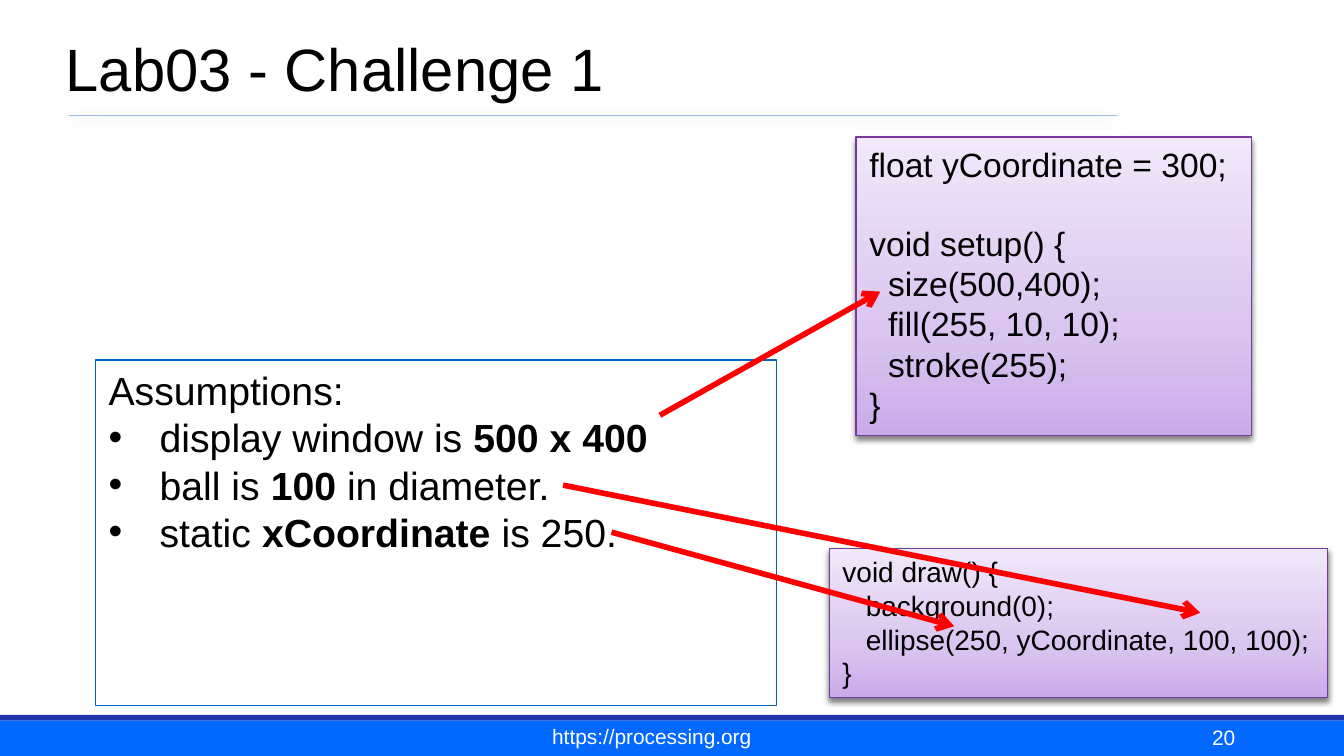
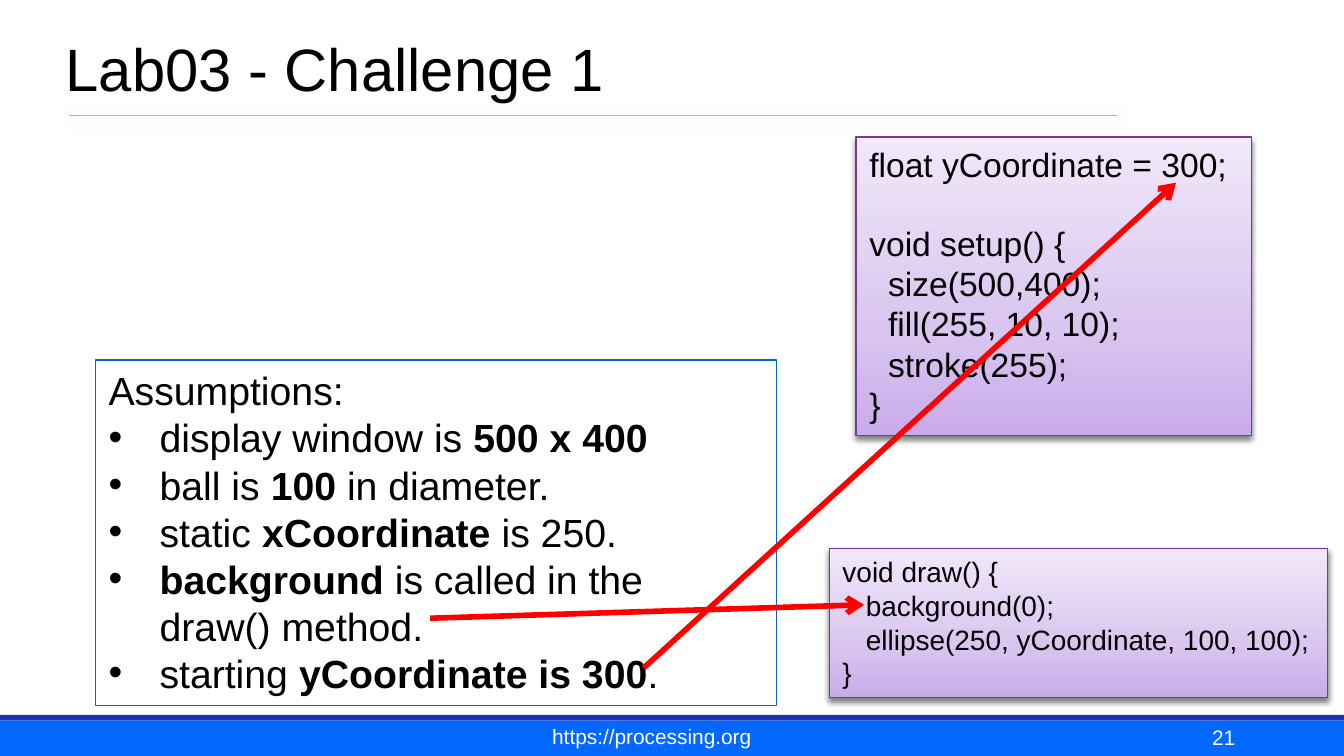
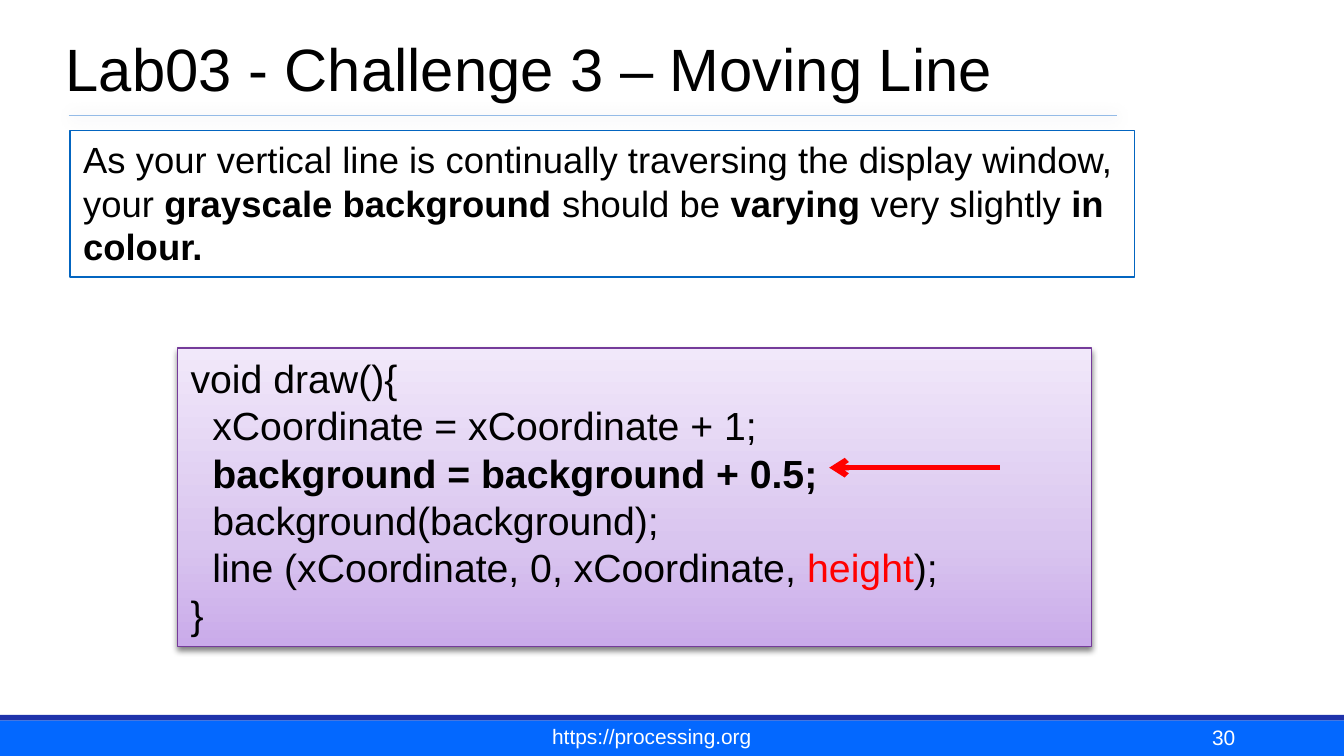
from collections import namedtuple

from lxml import etree
from pptx import Presentation
from pptx.dml.color import RGBColor
from pptx.enum.shapes import MSO_CONNECTOR, MSO_SHAPE
from pptx.enum.text import MSO_ANCHOR, PP_ALIGN
from pptx.oxml.ns import qn
from pptx.util import Inches, Pt

RECTANGLE = MSO_SHAPE.RECTANGLE
STRAIGHT = MSO_CONNECTOR.STRAIGHT
TOP, BOTTOM = MSO_ANCHOR.TOP, MSO_ANCHOR.BOTTOM
LEFT, CENTER, RIGHT = PP_ALIGN.LEFT, PP_ALIGN.CENTER, PP_ALIGN.RIGHT

WIDTH = Inches(10)
HEIGHT = WIDTH * 9 // 16
COLUMNS = 100
CELL = WIDTH // COLUMNS
ROWS = HEIGHT / CELL

FONT = "Arial"
COLORS = {
    "text": "000000", "light": "FFFFFF", "band": "0368FF", "stripe": "1F33AB",
    "rule": "94BBE7", "rule_shadow": "003D62", "outline": "0365C0",
    "code_line": "753B9A", "code_shadow": "000000", "accent": "FF0000",
}
CODE_GRADIENT = ((0, "CAABEA"), (35, "D9C5EF"), (100, "F1E8FA"))
LINE_SPACING = 1.15

Box = namedtuple("Box", "left top width height")
Shadow = namedtuple("Shadow", "color opacity blur distance angle")
RULE_SHADOW = Shadow("rule_shadow", 20, 8, 1, 45)
CODE_SHADOW = Shadow("code_shadow", 50, 3, 2, 90)

TITLE = Box(4.3, 0, 85, 8.3)
FOOTER = Box(0, 53.2, COLUMNS, ROWS - 53.2)
ASSUMPTIONS = Box(7.1, 26.8, 50.7, 25.7)
SETUP = Box(63.7, 10.2, 29.4, 22.2)
DRAW = Box(61.7, 40.8, 37.1, 11.1)
TASK = Box(5.2, 9.7, 79.2, 10.9)
MOVING_LINE = Box(13.2, 25.9, 68, 22.2)

SETUP_CODE = [
    ["float yCoordinate = 300;"],
    ["void setup() {", "size(500,400);", "fill(255, 10, 10);", "stroke(255);", "}"],
]
DRAW_CODE = [
    ["void draw() {", "background(0);", "ellipse(250, yCoordinate, 100, 100);", "}"],
]
MOVING_LINE_CODE = [[
    "void draw(){",
    "xCoordinate = xCoordinate + 1;",
    [("background = background + 0.5;", "bold")],
    "background(background);",
    ["line (xCoordinate, 0, xCoordinate, ", ("height", "accent"), ");"],
    "}",
]]
TASK_TEXT = [
    "As your vertical line is continually traversing the display window, your ",
    ("grayscale background ", "bold"), "should be ", ("varying ", "bold"),
    "very slightly ", ("in colour.", "bold"),
]
ASSUMED = [
    ["display window is ", ("500 x 400", "bold")],
    ["ball is ", ("100", "bold"), " in diameter."],
    ["static ", ("xCoordinate", "bold"), " is 250."],
    [("background", "bold"), " is called in the draw() method."],
    ["starting ", ("yCoordinate is 300", "bold"), "."],
]


def cells(*counts):
    """Convert grid cells to lengths."""
    return [round(count * CELL) for count in counts]


def within(box, column, row):
    """Return the grid point at an offset inside a box."""
    return box.left + column, box.top + row


def inner(box, column, row, width, height):
    """Return a box placed at an offset inside another."""
    return Box(*within(box, column, row), width, height)


def rgb(name):
    """Look up a named colour."""
    return RGBColor.from_string(COLORS[name])


def add_xml(parent, tag, **attributes):
    """Append a drawing element with its attributes."""
    values = {key: str(value) for key, value in attributes.items()}
    return etree.SubElement(parent, qn(f"a:{tag}"), values)


def set_shadow(target, shadow=None):
    """Replace the theme shadow by the given one or by none."""
    effects = add_xml(target.element.spPr, "effectLst")
    if shadow:
        outer = add_xml(effects, "outerShdw", blurRad=Pt(shadow.blur),
                        dist=Pt(shadow.distance), dir=shadow.angle * 60000,
                        algn="ctr", rotWithShape=0)
        color = add_xml(outer, "srgbClr", val=COLORS[shadow.color])
        add_xml(color, "alpha", val=shadow.opacity * 1000)


def set_gradient(panel):
    """Fill a panel with the code gradient, rising from its bottom."""
    gradient = add_xml(panel.element.spPr, "gradFill", rotWithShape=1)
    stops = add_xml(gradient, "gsLst")
    for position, color in CODE_GRADIENT:
        add_xml(add_xml(stops, "gs", pos=position * 1000), "srgbClr", val=color)
    add_xml(gradient, "lin", ang=270 * 60000, scaled=0)


def write(paragraph, content, size, color="text", align=LEFT):
    """Write a string or a list of plain and styled pieces."""
    paragraph.alignment = align
    for piece in [content] if isinstance(content, str) else content:
        text, style = (piece, None) if isinstance(piece, str) else piece
        run = paragraph.add_run()
        run.text = text
        run.font.name = FONT
        run.font.size = Pt(size)
        run.font.bold = style == "bold"
        run.font.color.rgb = rgb("accent" if style == "accent" else color)


def paragraphs(frame, count):
    """Return the given number of paragraphs of an empty frame."""
    return [frame.paragraphs[0]] + [frame.add_paragraph() for _ in range(count - 1)]


def prepare_frame(frame, anchor=TOP, side=1, edge=0.5):
    """Set wrapping, anchor and insets, and return the frame."""
    frame.word_wrap = True
    frame.vertical_anchor = anchor
    frame.margin_left = frame.margin_right = round(side * CELL)
    frame.margin_top = frame.margin_bottom = round(edge * CELL)
    return frame


def add_label(slide, box, text, size, color, align, side=0.6, edge=0.6):
    """Add one line of text standing on the bottom of its box."""
    label = slide.shapes.add_textbox(*cells(*box))
    frame = prepare_frame(label.text_frame, BOTTOM, side, edge)
    write(frame.paragraphs[0], text, size, color, align)


def add_line(slide, start, end, color, weight, shadow=None):
    """Add a straight line between two grid points."""
    line = slide.shapes.add_connector(STRAIGHT, *cells(*start, *end))
    line.line.color.rgb = rgb(color)
    line.line.width = Pt(weight)
    set_shadow(line, shadow)
    return line


def add_arrow(slide, start, end):
    """Add a red arrow pointing from an idea to its code."""
    arrow = add_line(slide, start, end, "accent", 3)
    add_xml(arrow.element.spPr.find(qn("a:ln")), "tailEnd", type="arrow")


def add_band(slide, box, color):
    """Add a plain filled band."""
    band = slide.shapes.add_shape(RECTANGLE, *cells(*box))
    band.fill.solid()
    band.fill.fore_color.rgb = rgb(color)
    band.line.fill.background()
    set_shadow(band)


def add_title(slide, box, text):
    """Add the slide title and the rule below it."""
    add_line(slide, within(box, 0.8, 8.6), within(box, 78.8, 8.6),
             "rule", 1, RULE_SHADOW)
    add_label(slide, box, text, 32, "text", LEFT)


def add_footer(slide, box, number):
    """Add the bands, the web address and the slide number."""
    add_band(slide, inner(box, 0, 0.4, box.width, box.height - 0.4), "band")
    add_band(slide, inner(box, 0, 0, box.width, 0.4), "stripe")
    add_label(slide, inner(box, 35.2, 0.3, 26.6, 2.6), "https://processing.org",
              11.2, "light", CENTER, 0.8, 0.4)
    add_label(slide, inner(box, 71.7, 0.1, 20.8, 3.1), str(number),
              11.2, "light", RIGHT)


def add_code(slide, box, blocks, size, indent):
    """Add a code panel whose block bodies are indented."""
    panel = slide.shapes.add_shape(RECTANGLE, *cells(*box))
    set_gradient(panel)
    panel.line.color.rgb = rgb("code_line")
    panel.line.width = Pt(0.75)
    set_shadow(panel, CODE_SHADOW)
    frame = prepare_frame(panel.text_frame)
    rows = iter(paragraphs(frame, sum(map(len, blocks))))
    for block_index, block in enumerate(blocks):
        for line_index, code in enumerate(block):
            row = next(rows)
            write(row, code, size)
            if 0 < line_index < len(block) - 1:
                row._p.get_or_add_pPr().set("marL", str(*cells(indent)))
            if block_index and not line_index:
                row.space_before = Pt(size * LINE_SPACING)


def add_outlined(slide, box):
    """Add an unfilled outlined box and return its text frame."""
    outlined = slide.shapes.add_shape(RECTANGLE, *cells(*box))
    outlined.fill.background()
    outlined.line.color.rgb = rgb("outline")
    outlined.line.width = Pt(0.75)
    set_shadow(outlined)
    return prepare_frame(outlined.text_frame)


def add_assumptions(slide, box, assumed):
    """Add the box that lists the assumptions as bullets."""
    heading, *bullets = paragraphs(add_outlined(slide, box), len(assumed) + 1)
    write(heading, "Assumptions:", 21)
    hanging, = cells(3.8)
    for bullet, content in zip(bullets, assumed):
        write(bullet, content, 21)
        properties = bullet._p.get_or_add_pPr()
        properties.set("marL", str(hanging))
        properties.set("indent", str(-hanging))
        add_xml(properties, "buFont", typeface=FONT)
        add_xml(properties, "buChar", char="•")


def start_slide(deck, title, number):
    """Add a blank slide with its title and footer."""
    slide = deck.slides.add_slide(deck.slide_layouts[6])
    add_footer(slide, FOOTER, number)
    add_title(slide, TITLE, title)
    return slide


def build_assumptions_slide(deck, number, assumed, links):
    """Build a slide that links assumptions to lines of code."""
    slide = start_slide(deck, "Lab03 - Challenge 1", number)
    add_code(slide, SETUP, SETUP_CODE, 18, 1.4)
    add_code(slide, DRAW, DRAW_CODE, 15, 1.74)
    add_assumptions(slide, ASSUMPTIONS, assumed)
    for origin, code_box, target in links:
        add_arrow(slide, within(ASSUMPTIONS, *origin), within(code_box, *target))


def build_moving_line_slide(deck, number):
    """Build the slide on the varying background."""
    slide = start_slide(deck, "Lab03 - Challenge 3 – Moving Line", number)
    add_code(slide, MOVING_LINE, MOVING_LINE_CODE, 21, 1.62)
    write(add_outlined(slide, TASK).paragraphs[0], TASK_TEXT, 19.5)
    add_arrow(slide, within(MOVING_LINE, 61.2, 8.9), within(MOVING_LINE, 48.5, 8.9))


def main():
    """Build and save the deck."""
    deck = Presentation()
    deck.slide_width, deck.slide_height = WIDTH, HEIGHT
    build_assumptions_slide(deck, 20, ASSUMED[:3], [
        ((42, 4.1), SETUP, (1.8, 11.5)),
        ((34.8, 9.3), DRAW, (27.6, 4.8)),
        ((38.4, 12.8), DRAW, (9.3, 5.8)),
    ])
    build_assumptions_slide(deck, 21, ASSUMED, [
        ((24.9, 19.2), DRAW, (2.6, 4.2)),
        ((40.8, 22.9), SETUP, (23.8, 3.4)),
    ])
    build_moving_line_slide(deck, 30)
    deck.save("out.pptx")


if __name__ == "__main__":
    main()
